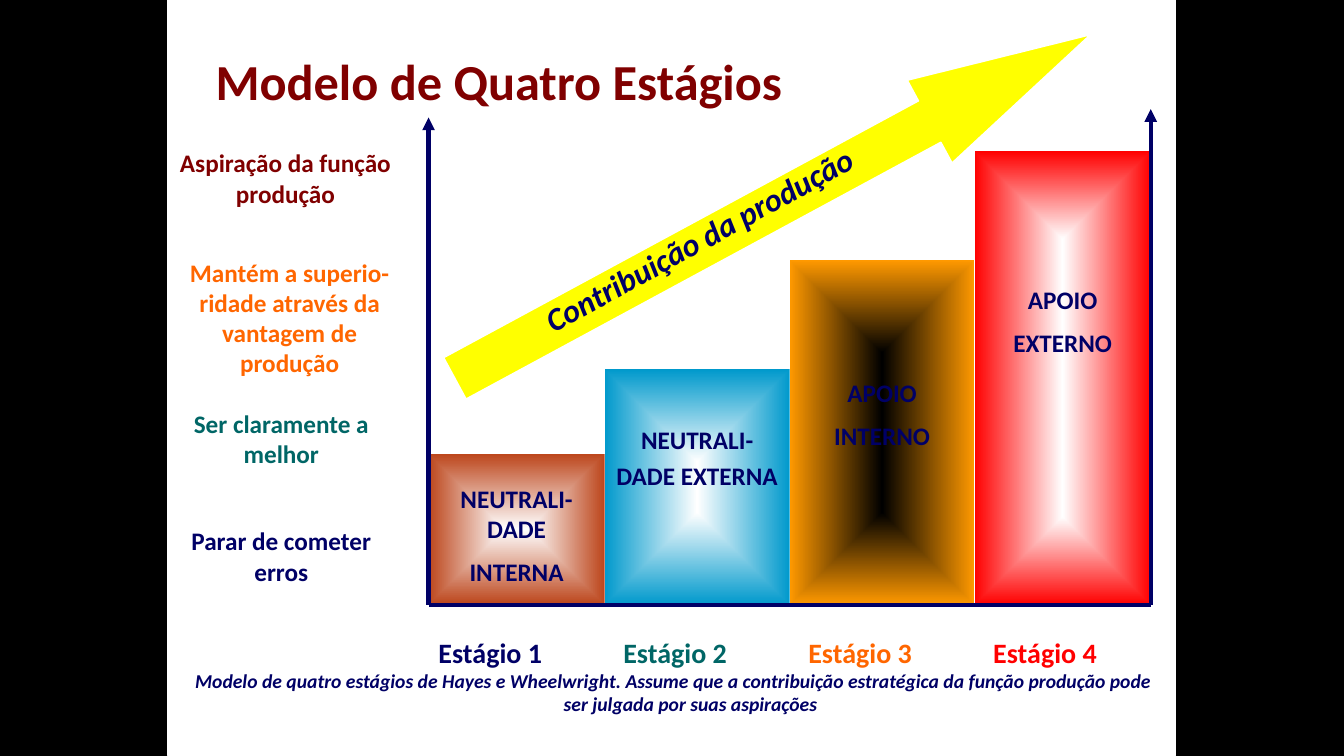
from lxml import etree
from pptx import Presentation
from pptx.dml.color import RGBColor
from pptx.enum.shapes import MSO_CONNECTOR, MSO_SHAPE
from pptx.enum.text import MSO_ANCHOR, MSO_AUTO_SIZE, PP_ALIGN
from pptx.oxml.ns import qn
from pptx.util import Cm, Pt

NAVY, MAROON, TEAL, ORANGE, RED = "000066", "800000", "006666", "FF6600", "FF0000"
WHITE, BLACK, YELLOW = "FFFFFF", "000000", "FFFF00"
PANEL_LEFT, PANEL_WIDTH, HEIGHT = 4.23, 25.4, 19.05
AXIS_LEFT, AXIS_RIGHT, BASE = 10.8, 29, 15.24
STAGE_STEP = 4.66


def rgb(color):
    return RGBColor.from_string(color)


class StageSlide:
    font = "Calibri"

    def __init__(self, prs):
        self.s = prs.slides.add_slide(prs.slide_layouts[1])
        self.s.background.fill.solid()
        self.s.background.fill.fore_color.rgb = rgb(BLACK)

    def set_text(self, sp, paragraphs, size, color, align=PP_ALIGN.CENTER,
                 italic=False, spacing=None):
        tf = sp.text_frame
        tf.word_wrap = True
        tf.auto_size = MSO_AUTO_SIZE.NONE
        tf.text = "\n".join(paragraphs)
        for i, p in enumerate(tf.paragraphs):
            p.alignment = align
            p.space_before = Pt(size / 2 if i else 0)
            p.line_spacing = spacing
            for r in p.runs:
                r.font.name, r.font.size = self.font, Pt(size)
                r.font.bold, r.font.italic = True, italic
                r.font.color.rgb = rgb(color)

    def placeholder(self, idx, box, text, size, color, anchor, italic=False):
        sp = self.s.placeholders[idx]
        sp.left, sp.top, sp.width, sp.height = map(Cm, box)
        self.set_text(sp, [text], size, color, italic=italic)
        sp.text_frame.vertical_anchor = anchor
        p = sp.text_frame.paragraphs[0]
        self.shade(p.runs[0])
        return p

    def shade(self, r):
        """Give the run a soft shadow; the run must already have its colour."""
        effects = etree.Element(qn("a:effectLst"))
        shadow = etree.SubElement(effects, qn("a:outerShdw"), blurRad="38100",
                                  dist="38100", dir="2700000", algn="tl")
        color = etree.SubElement(shadow, qn("a:srgbClr"), val=BLACK)
        etree.SubElement(color, qn("a:alpha"), val="43000")
        r._r.get_or_add_rPr().find(qn("a:solidFill")).addnext(effects)

    def label(self, box, text, size, color, rotation=0, **style):
        sp = self.s.shapes.add_textbox(*map(Cm, box))
        sp.rotation = rotation
        self.set_text(sp, [text], size, color, **style)

    def shape(self, kind, box, fill, line=None, width=1):
        sp = self.s.shapes.add_shape(kind, *map(Cm, box))
        sp.shadow.inherit = False
        sp.fill.solid()
        sp.fill.fore_color.rgb = rgb(fill)
        if line:
            sp.line.color.rgb = rgb(line)
            sp.line.width = Pt(width)
        else:
            sp.line.fill.background()
        return sp

    def bar(self, left, right, top, inner, outer, inset, words, spacing=None):
        sp = self.shape(MSO_SHAPE.RECTANGLE, (left, top, right - left, BASE - top), outer)
        self.glow(sp, inner, outer)
        self.set_text(sp, words, 18, NAVY, spacing=spacing)
        sp.text_frame.vertical_anchor = MSO_ANCHOR.TOP
        sp.text_frame.margin_top = Cm(inset)

    def glow(self, sp, inner, outer):
        """Fill with a rectangular gradient running from the centre to the edges."""
        sp.fill.gradient()
        for stop, color in zip(sp.fill.gradient_stops, (inner, outer)):
            stop.color.rgb = rgb(color)
        grad = sp.element.spPr.find(qn("a:gradFill"))
        grad.remove(grad.find(qn("a:lin")))
        shade = etree.SubElement(grad, qn("a:path"), {"path": "rect"})
        etree.SubElement(shade, qn("a:fillToRect"), l="50000", t="50000", r="50000", b="50000")

    def axis(self, x1, y1, x2, y2, arrow=True):
        cn = self.s.shapes.add_connector(MSO_CONNECTOR.STRAIGHT, *map(Cm, (x1, y1, x2, y2)))
        cn.line.color.rgb = rgb(NAVY)
        cn.line.width = Pt(3)
        spPr = cn.element.spPr
        if arrow:
            etree.SubElement(spPr.find(qn("a:ln")), qn("a:tailEnd"), type="triangle")
        etree.SubElement(spPr, qn("a:effectLst"))


def main():
    prs = Presentation()
    prs.slide_width, prs.slide_height = Cm(33.87), Cm(HEIGHT)
    slide = StageSlide(prs)

    panel = slide.shape(MSO_SHAPE.RECTANGLE, (PANEL_LEFT, 0, PANEL_WIDTH, HEIGHT),
                        WHITE, WHITE, 0.75)
    slide.s.shapes.element.insert(2, panel.element)  # behind the placeholders

    slide.placeholder(0, (PANEL_LEFT, 0.85, 16.69, 2.33), "Modelo de Quatro Estágios",
                      36, MAROON, MSO_ANCHOR.MIDDLE)
    p = slide.placeholder(
        1, (PANEL_LEFT, 16.72, PANEL_WIDTH, 2.33),
        "Modelo de quatro estágios de Hayes e Wheelwright. Assume que a contribuição "
        "estratégica da função produção pode ser julgada por suas aspirações",
        14, NAVY, MSO_ANCHOR.TOP, italic=True)
    p.space_after = Pt(6)
    pPr = p._p.get_or_add_pPr()
    pPr.set("marL", str(Cm(0.95)))
    pPr.set("indent", str(-Cm(0.85)))
    etree.SubElement(pPr, qn("a:buNone"))

    for top, width, height, color, text in (
            (3.6, 5.93, 1.78, MAROON, "Aspiração da função produção"),
            (6.35, 6.14, 3.3, ORANGE, "Mantém a superio-ridade através da vantagem de produção"),
            (10.16, 5.72, 1.78, TEAL, "Ser claramente a melhor"),
            (13.12, 5.72, 1.78, NAVY, "Parar de cometer erros")):
        slide.label((PANEL_LEFT, top, width, height), text, 18, color)

    edges = (AXIS_LEFT, 15.24, 19.9, 24.56, AXIS_RIGHT)
    bars = (
        (11.43, WHITE, "BC451B", 0.74, ["NEUTRALI-DADE", "INTERNA"]),
        (9.31, WHITE, "0099CC", 1.22, ["NEUTRALI-DADE EXTERNA"], 1.2),
        (6.56, BLACK, "FF9900", 2.95, ["APOIO", "INTERNO"]),
        (3.81, WHITE, RED, 3.35, ["APOIO", "EXTERNO"]))
    for left, right, bar in zip(edges, edges[1:], bars):
        slide.bar(left, right, *bar)

    for i, color in enumerate((NAVY, TEAL, ORANGE, RED)):
        slide.label((AXIS_LEFT + i * STAGE_STEP, 15.88, 3.81, 1.1), f"Estágio {i + 1}",
                    20, color, align=PP_ALIGN.LEFT)

    arrow = slide.shape(MSO_SHAPE.RIGHT_ARROW, (10.37, 4.02, 18.2, 2.37), YELLOW, WHITE)
    arrow.adjustments[0], arrow.adjustments[1] = 0.5, 1.94
    arrow.rotation = 331.6
    slide.label((12.8, 4.62, 12.45, 1.22), "Contribuição da produção", 23, NAVY,
                rotation=331.1, align=PP_ALIGN.LEFT, italic=True)

    slide.axis(AXIS_RIGHT, BASE, AXIS_RIGHT, 2.75)
    slide.axis(AXIS_LEFT, BASE, AXIS_LEFT, 2.96)
    slide.axis(AXIS_LEFT, BASE, AXIS_RIGHT, BASE, arrow=False)

    prs.save("out.pptx")


if __name__ == "__main__":
    main()
